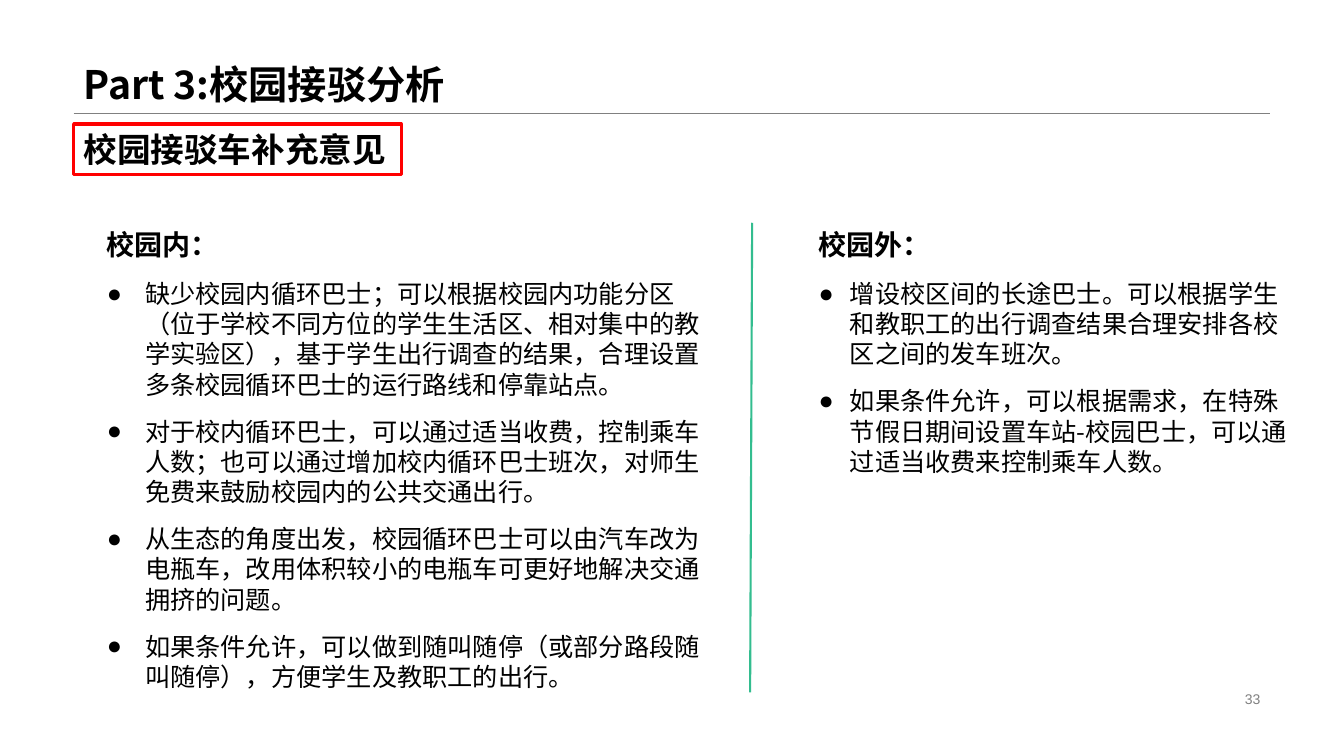
from dataclasses import dataclass

from lxml.etree import SubElement
from pptx import Presentation
from pptx.dml.color import RGBColor
from pptx.enum.shapes import MSO_CONNECTOR, MSO_SHAPE
from pptx.enum.text import MSO_ANCHOR as Anchor, MSO_AUTO_SIZE as AutoSize, PP_ALIGN as Align
from pptx.oxml.ns import qn
from pptx.util import Emu, Pt

PX = 9144
BLACK = RGBColor(0x00, 0x00, 0x00)
GRAY = RGBColor(0x80, 0x80, 0x80)
GREEN = RGBColor(0x33, 0xBD, 0x8F)
RED = RGBColor(0xFF, 0x00, 0x00)
CJK = "Noto Sans CJK SC"


@dataclass(frozen=True)
class Box:
    left: int
    top: int
    width: int
    height: int


@dataclass(frozen=True)
class Column:
    box: Box
    indent: int
    heading: str
    points: tuple[str, ...]


@dataclass(frozen=True)
class Rule:
    x1: int
    y1: int
    x2: int
    y2: int
    color: RGBColor
    weight: float


COLUMNS = (
    Column(Box(96, 221, 611, 490), 38, "校园内：", (
        "缺少校园内循环巴士；可以根据校园内功能分区（位于学校不同方位的学生生活区、相对集中的教学实验区），"
        "基于学生出行调查的结果，合理设置多条校园循环巴士的运行路线和停靠站点。",
        "对于校内循环巴士，可以通过适当收费，控制乘车人数；也可以通过增加校内循环巴士班次，"
        "对师生免费来鼓励校园内的公共交通出行。",
        "从生态的角度出发，校园循环巴士可以由汽车改为电瓶车，改用体积较小的电瓶车可更好地解决交通拥挤的问题。",
        "如果条件允许，可以做到随叫随停（或部分路段随叫随停），方便学生及教职工的出行。",
    )),
    Column(Box(802, 221, 487, 353), 31, "校园外：", (
        "增设校区间的长途巴士。可以根据学生和教职工的出行调查结果合理安排各校区之间的发车班次。",
        "如果条件允许，可以根据需求，在特殊节假日期间设置车站-校园巴士，可以通过适当收费来控制乘车人数。",
    )),
)
RULES = (
    Rule(73, 112, 1260, 112, GRAY, 0.25),
    Rule(746, 221, 744, 687, GREEN, 1.5),
)


def px(n: int) -> Emu:
    return Emu(n * PX)


def place(sp, box: Box, anchor=Anchor.TOP) -> None:
    sp.left, sp.top = px(box.left), px(box.top)
    sp.width, sp.height = px(box.width), px(box.height)
    tf = sp.text_frame
    tf.word_wrap = True
    tf.auto_size = AutoSize.NONE
    tf.vertical_anchor = anchor


def style(p, size: int, bold=False, color=BLACK, font=CJK, align=Align.LEFT) -> None:
    p.alignment = align
    for r in p.runs:
        r.font.size, r.font.bold, r.font.name = Pt(size), bold, font
        r.font.color.rgb = color
        SubElement(r.font._element, qn("a:ea")).set("typeface", font)


def set_bullet(p, indent: int, char: str = "") -> None:
    pPr = p._p.get_or_add_pPr()
    pPr.set("marL", str(px(indent)))
    pPr.set("indent", str(-px(indent)))
    if char:
        SubElement(pPr, qn("a:buFont")).set("typeface", "Arial")
        SubElement(pPr, qn("a:buChar")).set("char", char)
    else:
        SubElement(pPr, qn("a:buNone"))


def fill_column(sp, col: Column) -> None:
    place(sp, col.box)
    tf = sp.text_frame
    tf.text = "\n".join((col.heading, *col.points))
    for i, p in enumerate(tf.paragraphs):
        set_bullet(p, col.indent if i else 0, "●" if i else "")
        p.space_before = Pt(12 if i else 0)
        style(p, 18 if i else 20, bold=not i)


def add_rule(shapes, rule: Rule) -> None:
    line = shapes.add_connector(
        MSO_CONNECTOR.STRAIGHT, px(rule.x1), px(rule.y1), px(rule.x2), px(rule.y2))
    line.line.color.rgb = rule.color
    line.line.width = Pt(rule.weight)
    SubElement(line._element.spPr, qn("a:effectLst"))


def main() -> None:
    prs = Presentation()
    prs.slide_width, prs.slide_height = px(1333), px(750)
    s = prs.slides.add_slide(prs.slide_layouts[3])

    title = s.shapes.title
    place(title, Box(73, 0, 1187, 112), Anchor.BOTTOM)
    title.text_frame.text = "Part 3:校园接驳分析"
    p = title.text_frame.paragraphs[0]
    p.line_spacing = 0.9
    style(p, 28, bold=True)

    for i, col in enumerate(COLUMNS, start=1):
        fill_column(s.placeholders[i], col)
    for rule in RULES:
        add_rule(s.shapes, rule)

    topic = s.shapes.add_shape(MSO_SHAPE.RECTANGLE, 0, 0, 0, 0)
    place(topic, Box(73, 123, 325, 50))
    topic.shadow.inherit = False
    topic.fill.background()
    topic.line.color.rgb = RED
    topic.line.width = Pt(2.25)
    topic.text_frame.text = "校园接驳车补充意见"
    style(topic.text_frame.paragraphs[0], 24, bold=True)

    number = s.shapes.add_textbox(0, 0, 0, 0)
    place(number, Box(942, 682, 318, 23), Anchor.MIDDLE)
    number.text_frame.text = "33"
    style(number.text_frame.paragraphs[0], 10, color=GRAY, font="Arial", align=Align.RIGHT)

    prs.save("out.pptx")


if __name__ == "__main__":
    main()
